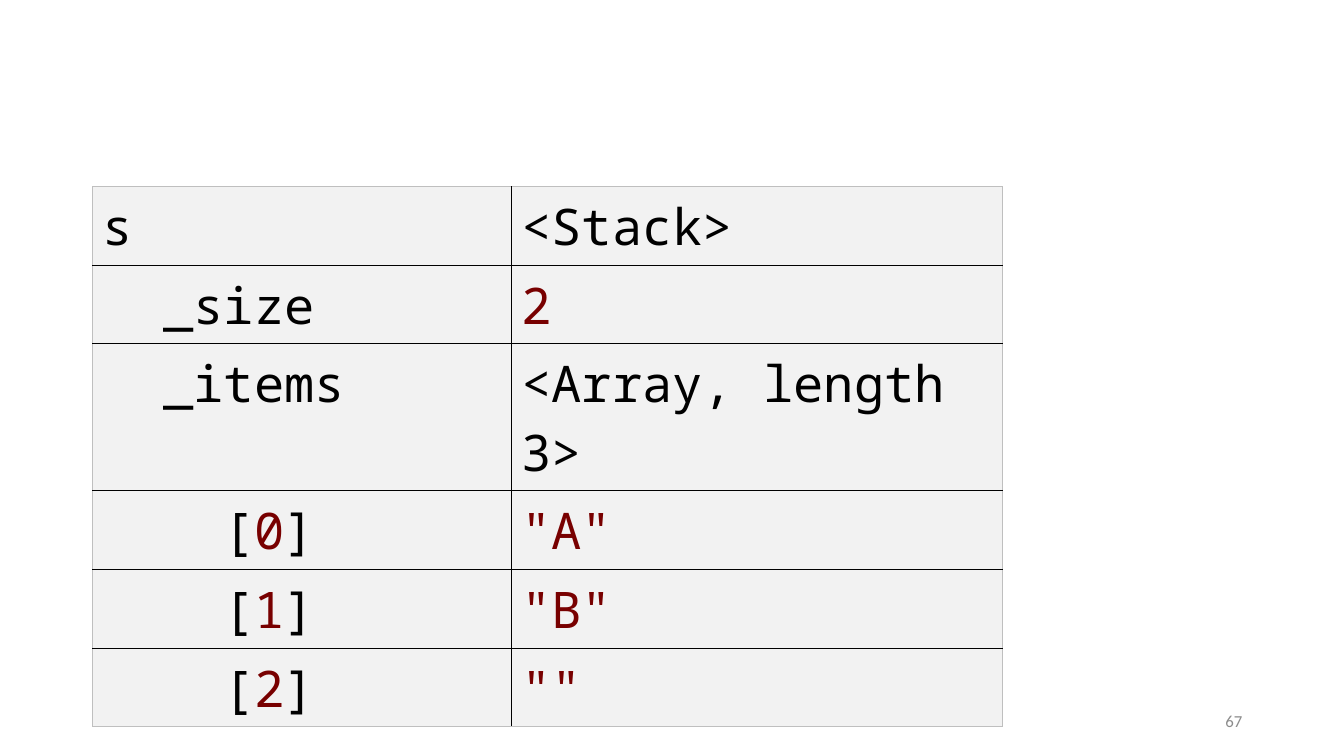
from lxml import etree
from pptx import Presentation
from pptx.dml.color import RGBColor
from pptx.enum.text import MSO_ANCHOR, PP_ALIGN
from pptx.oxml.ns import qn
from pptx.util import Inches, Pt

RIGHT = PP_ALIGN.RIGHT
MIDDLE = MSO_ANCHOR.MIDDLE
COLORS = {"name": "000000", "value": "780000", "cell": "F2F2F2",
          "line": "000000", "edge": "BFBFBF", "page": "8C8C8C"}
MONO, SANS = "Noto Sans Mono", "Calibri"

# Each cell is a list of (text, color key) runs.
FIELDS = [
    ([("s", "name")], [("<Stack>", "name")]),
    ([("  _size", "name")], [("2", "value")]),
    ([("  _items", "name")], [("<Array, length 3>", "name")]),
]
ITEMS = [
    ([("    [", "name"), (str(i), "value"), ("]", "name")],
     [(f'"{item}"', "value")])
    for i, item in enumerate(["A", "B", ""])
]
ROWS = FIELDS + ITEMS
ONE, TWO = 0.78, 1.46  # height of a row with one or two lines
HEIGHTS = [ONE, ONE, TWO] + [ONE] * len(ITEMS)


def add_run(para, text, font, size, color):
    run = para.add_run()
    run.text = text
    run.font.name = font
    run.font.size = Pt(size)
    run.font.color.rgb = RGBColor.from_string(COLORS[color])


def add_border(cell, side, inner):
    """Draw a black rule inside the table, a thin gray one on its edge."""
    width, color = (1, "line") if inner else (0.5, "edge")
    props = cell._tc.get_or_add_tcPr()
    line = etree.SubElement(props, qn(f"a:ln{side}"), w=str(Pt(width)))
    fill = etree.SubElement(line, qn("a:solidFill"))
    etree.SubElement(fill, qn("a:srgbClr"), val=COLORS[color])


def add_state(slide, left, top, widths, heights):
    """Table of the stack's variables and their values."""
    frame = slide.shapes.add_table(
        len(heights), len(widths), Inches(left), Inches(top),
        Inches(sum(widths)), Inches(sum(heights)))
    table = frame.table
    for col, width in zip(table.columns, widths):
        col.width = Inches(width)
    for r, (row, height) in enumerate(zip(ROWS, heights)):
        table.rows[r].height = Inches(height)
        for c, runs in enumerate(row):
            cell = table.cell(r, c)
            inner = {"L": c > 0, "R": c < len(widths) - 1,
                     "T": r > 0, "B": r < len(heights) - 1}
            for side, flag in inner.items():
                add_border(cell, side, flag)
            cell.fill.solid()
            cell.fill.fore_color.rgb = RGBColor.from_string(COLORS["cell"])
            for text, color in runs:
                add_run(cell.text_frame.paragraphs[0], text, MONO, 36, color)


def add_page(slide, left, top, width, height):
    box = slide.shapes.add_textbox(
        Inches(left), Inches(top), Inches(width), Inches(height))
    frame = box.text_frame
    frame.word_wrap = True
    frame.vertical_anchor = MIDDLE
    para = frame.paragraphs[0]
    para.alignment = RIGHT
    add_run(para, "67", SANS, 12, "page")


def main():
    deck = Presentation()
    deck.slide_width, deck.slide_height = Inches(13.33), Inches(7.5)
    slide = deck.slides.add_slide(deck.slide_layouts[6])
    add_page(slide, 9.42, 6.95, 3, 0.4)
    add_state(slide, 0.92, 1.85, [4.15, 4.87], HEIGHTS)
    deck.save("out.pptx")


if __name__ == "__main__":
    main()
